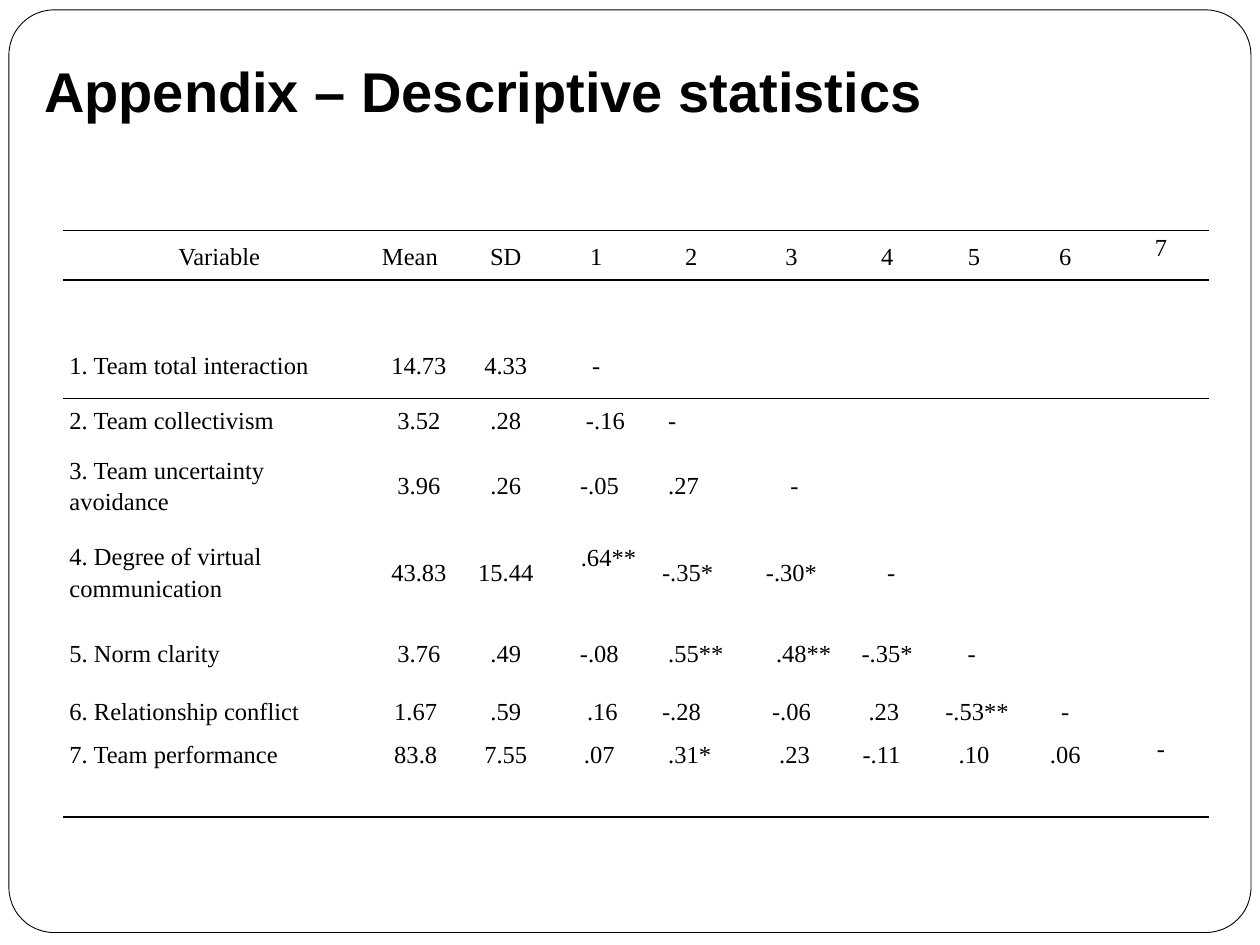
from collections import namedtuple

from lxml.etree import SubElement
from pptx import Presentation
from pptx.dml.color import RGBColor
from pptx.enum.shapes import MSO_SHAPE as Shape
from pptx.enum.text import MSO_ANCHOR as Anchor, PP_ALIGN as Align
from pptx.oxml.ns import qn
from pptx.util import Cm, Pt

BLACK = "000000"
WHITE = "FFFFFF"
NO_STYLE = "{2D5ABB26-0587-4C30-8999-92F81FD0307C}"
INDENT_STEP = Pt(3.5)
COLUMN_WIDTHS = [6.3, 1.75, 1.75, 1.9, 1.93, 2.11, 1.75, 1.75, 1.93, 1.93]
ROW_HEIGHTS = [0.99, 2.39, 0.86, 1.75, 1.75, 1.5, 0.86, 0.86, 0.86]

Entry = namedtuple("Entry", "text align steps anchor top bottom")


def centred(text, steps=0, anchor=Anchor.MIDDLE, top=0, bottom=0):
    return Entry(text, Align.CENTER, steps, anchor, top, bottom)


def left(text, steps=0, top=0):
    return Entry(text, Align.LEFT, steps, Anchor.MIDDLE, top, 0)


ROWS = [
    [centred("Variable"), left("Mean"), centred("SD"),
     *[centred(str(number)) for number in range(1, 7)],
     centred("7", anchor=Anchor.TOP)],
    [left("1. Team total interaction", top=1), centred("14.73", top=1),
     centred("4.33", top=1), centred("-", top=1)],
    [left("2. Team collectivism"), centred("3.52"), centred(".28"),
     centred("-.16", 3), left("-", 3)],
    [left("3. Team uncertainty avoidance"), centred("3.96"), centred(".26"),
     left("-.05", 4), left(".27", 3), centred("-", 1)],
    [left("4. Degree of virtual communication"), centred("43.83"),
     centred("15.44"), centred(".64**", 4, bottom=0.6), left("-.35*", 2),
     centred("-.30*"), left("-", 6)],
    [left("5. Norm clarity"), centred("3.76"), centred(".49"),
     centred("-.08", 1), left(".55**", 3), centred(".48**", 4),
     centred("-.35*"), left("-", 5)],
    [left("6. Relationship conflict"), left("1.67", 2), centred(".59"),
     centred(".16", 2), left("-.28", 2), centred("-.06"), left(".23", 3),
     centred("-.53**", 1), centred("-")],
    [left("7. Team performance"), left("83.8", 2), centred("7.55"),
     centred(".07", 1), left(".31*", 3), centred(".23", 1), left("-.11", 2),
     centred(".10"), centred(".06"), centred("-", anchor=Anchor.TOP)],
    [],
]


def colour(value):
    return RGBColor.from_string(value)


def style_runs(para, font_name, size, bold=False):
    for span in para.runs:
        span.font.name = font_name
        span.font.size = Pt(size)
        span.font.bold = bold
        span.font.color.rgb = colour(BLACK)


def add_frame(page):
    frame = page.shapes.add_shape(
        Shape.ROUNDED_RECTANGLE, Cm(0.18), Cm(0.2), Cm(25.04), Cm(18.6))
    frame.adjustments[0] = 0.049
    frame.shadow.inherit = False
    frame.fill.solid()
    frame.fill.fore_color.rgb = colour(WHITE)
    frame.line.color.rgb = colour(BLACK)
    frame.line.width = Pt(0.5)


def add_title(page, text):
    box = page.shapes.add_textbox(Cm(0.64), Cm(0), Cm(24.56), Cm(2.74))
    text_frame = box.text_frame
    text_frame.word_wrap = True
    text_frame.vertical_anchor = Anchor.BOTTOM
    text_frame.margin_bottom = Cm(0.25)
    text_frame.text = text
    style_runs(text_frame.paragraphs[0], "Arial", 32, bold=True)


def add_border(cell, tag):
    line = SubElement(cell._tc.get_or_add_tcPr(), qn(tag), w=str(Pt(1)))
    fill = SubElement(line, qn("a:solidFill"))
    SubElement(fill, qn("a:srgbClr"), val=BLACK)


def fill_cell(cell, entry):
    cell.vertical_anchor = entry.anchor
    cell.margin_top = Cm(entry.top)
    cell.margin_bottom = Cm(entry.bottom)
    cell.text_frame.text = entry.text
    para = cell.text_frame.paragraphs[0]
    para.alignment = entry.align
    para.line_spacing = 1.15
    para.space_after = Pt(10)
    if entry.steps:
        properties = para._p.get_or_add_pPr()
        properties.set("marL", str(entry.steps * INDENT_STEP))
        properties.set("indent", "0")
    style_runs(para, "Times New Roman", 14)


def add_statistics(page):
    frame = page.shapes.add_table(
        len(ROW_HEIGHTS), len(COLUMN_WIDTHS), Cm(1.27), Cm(4.65),
        Cm(sum(COLUMN_WIDTHS)), Cm(sum(ROW_HEIGHTS)))
    table = frame.table
    table.first_row = False
    table.horz_banding = False
    table._tbl.tblPr.find(qn("a:tableStyleId")).text = NO_STYLE
    for column, width in zip(table.columns, COLUMN_WIDTHS):
        column.width = Cm(width)
    last = len(ROW_HEIGHTS) - 1
    for index, (row, height, entries) in enumerate(
            zip(table.rows, ROW_HEIGHTS, ROWS)):
        row.height = Cm(height)
        for cell in row.cells:
            cell.margin_left = cell.margin_right = Cm(0.13)
            cell.margin_top = cell.margin_bottom = Cm(0)
            if index in (0, 1):
                add_border(cell, "a:lnT")
            if index in (0, last):
                add_border(cell, "a:lnB")
            cell.fill.solid()
            cell.fill.fore_color.rgb = colour(WHITE)
        for cell, entry in zip(row.cells, entries):
            fill_cell(cell, entry)


def main():
    deck = Presentation()
    deck.slide_width = Cm(25.4)
    deck.slide_height = Cm(19.05)
    page = deck.slides.add_slide(deck.slide_layouts[6])
    add_frame(page)
    add_statistics(page)
    add_title(page, "Appendix – Descriptive statistics")
    deck.save("out.pptx")


if __name__ == "__main__":
    main()
